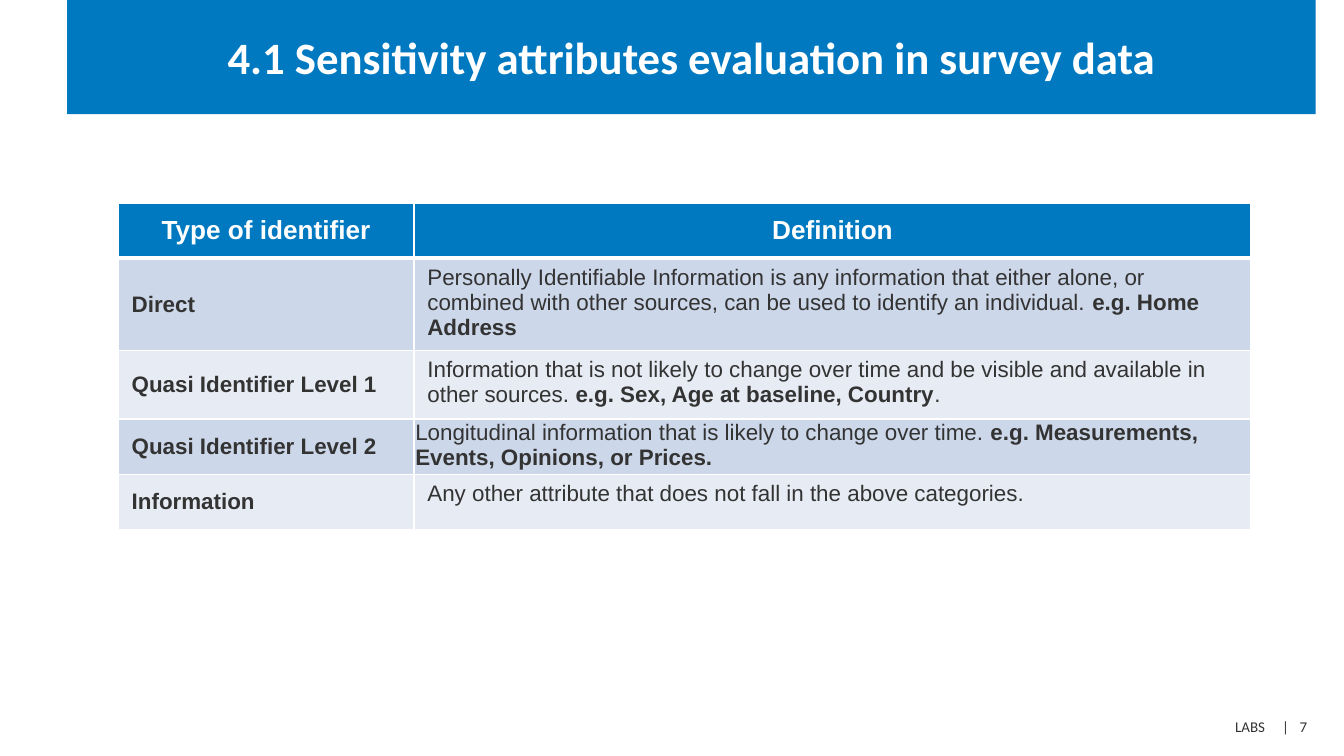
from lxml import etree
from pptx import Presentation
from pptx.dml.color import RGBColor
from pptx.enum.text import MSO_ANCHOR, PP_ALIGN
from pptx.oxml.ns import qn
from pptx.util import Inches, Pt

CENTER = PP_ALIGN.CENTER
MIDDLE, TOP = MSO_ANCHOR.MIDDLE, MSO_ANCHOR.TOP
BLUE, WHITE, DARK = "0079C1", "FFFFFF", "333333"
BANDS = ["CCD7E9", "E7ECF4"]

TITLE = "4.1 Sensitivity attributes evaluation in survey data"
FOOTER = "LABS\t|\t7"
FOOTER_TABS = [0.35, 0.48]
HEADERS = ["Type of identifier", "Definition"]
# Identifier type, then its definition as (text, bold) runs
IDENTIFIERS = [
    ("Direct", [
        ("Personally Identifiable Information is any information that either alone, "
         "or combined with other sources, can be used to identify an individual. ", False),
        ("e.g. Home Address", True)]),
    ("Quasi Identifier Level 1", [
        ("Information that is not likely to change over time and be visible and "
         "available in other sources. ", False),
        ("e.g. Sex, Age at baseline, Country", True),
        (".", False)]),
    ("Quasi Identifier Level 2", [
        ("Longitudinal information that is likely to change over time. ", False),
        ("e.g. Measurements, Events, Opinions, or Prices.", True)]),
    ("Information", [
        ("Any other attribute that does not fall in the above categories.", False)]),
]
COL_WIDTHS = [2.2, 6.23]
ROW_HEIGHTS = [0.41, 0.69, 0.51, 0.41, 0.41]
TIGHT_ROW = 3


def rgb(color):
    return RGBColor.from_string(color)


def write(tf, runs, size=12, color=DARK, font="Arial", align=None):
    """Fill the first paragraph with (text, bold) runs and return it."""
    p = tf.paragraphs[0]
    if align is not None:
        p.alignment = align
    for text, bold in runs:
        r = p.add_run()
        r.text = text
        r.font.size = Pt(size)
        r.font.name = font
        r.font.bold = bold
        r.font.color.rgb = rgb(color)
    return p


def set_borders(cell, **widths):
    """Draw white borders; widths are points keyed by L, R, T and B."""
    tcPr = cell._tc.get_or_add_tcPr()
    for side, width in widths.items():
        ln = etree.SubElement(tcPr, qn(f"a:ln{side}"), w=str(Pt(width)))
        fill = etree.SubElement(ln, qn("a:solidFill"))
        etree.SubElement(fill, qn("a:srgbClr"), val=WHITE)


def style_cell(cell, color, anchor, top=1, bottom=1):
    set_borders(cell, L=1, R=1, T=top, B=bottom)
    cell.fill.solid()
    cell.fill.fore_color.rgb = rgb(color)
    cell.vertical_anchor = anchor


def add_title(slide):
    sp = slide.shapes.title
    sp.left, sp.top, sp.width, sp.height = map(Inches, (0.5, 0, 9.29, 0.85))
    sp.fill.solid()
    sp.fill.fore_color.rgb = rgb(BLUE)
    tf = sp.text_frame
    tf.vertical_anchor = MIDDLE
    p = write(tf, [(TITLE, True)], size=24, color=WHITE, font="Calibri", align=CENTER)
    p.line_spacing = Pt(28)


def add_identifier_table(slide):
    frame = slide.shapes.add_table(
        len(ROW_HEIGHTS), len(COL_WIDTHS), Inches(0.88), Inches(1.51),
        Inches(sum(COL_WIDTHS)), Inches(sum(ROW_HEIGHTS)))
    table = frame.table
    for column, width in zip(table.columns, COL_WIDTHS):
        column.width = Inches(width)
    for row, height in zip(table.rows, ROW_HEIGHTS):
        row.height = Inches(height)

    for col, header in enumerate(HEADERS):
        cell = table.cell(0, col)
        style_cell(cell, BLUE, MIDDLE, bottom=3)
        write(cell.text_frame, [(header, True)], size=14, color=WHITE, align=CENTER)

    for row, (name, definition) in enumerate(IDENTIFIERS, start=1):
        band = BANDS[(row - 1) % 2]
        top = 3 if row == 1 else 1
        for col, runs in enumerate([[(name, True)], definition]):
            cell = table.cell(row, col)
            style_cell(cell, band, TOP if col else MIDDLE, top=top)
            write(cell.text_frame, runs)

    cell = table.cell(TIGHT_ROW, 1)
    cell.margin_left = cell.margin_top = cell.margin_right = Inches(0.01)
    cell.margin_bottom = 0


def add_footer(slide):
    sp = slide.shapes.add_textbox(Inches(7.34), Inches(5.29), Inches(2.49), Inches(0.24))
    tf = sp.text_frame
    tf.word_wrap = True
    tf.margin_left = Inches(1.85)
    tf.margin_right = 0
    pPr = tf.paragraphs[0]._p.get_or_add_pPr()
    tabs = etree.SubElement(pPr, qn("a:tabLst"))
    for pos in FOOTER_TABS:
        etree.SubElement(tabs, qn("a:tab"), pos=str(Inches(pos)), algn="l")
    write(tf, [(FOOTER, False)], size=8, font="Calibri")


def main():
    prs = Presentation()
    prs.slide_width = Inches(10)
    prs.slide_height = prs.slide_width * 9 // 16
    slide = prs.slides.add_slide(prs.slide_layouts[5])
    add_title(slide)
    add_identifier_table(slide)
    add_footer(slide)
    prs.save("out.pptx")


if __name__ == "__main__":
    main()
